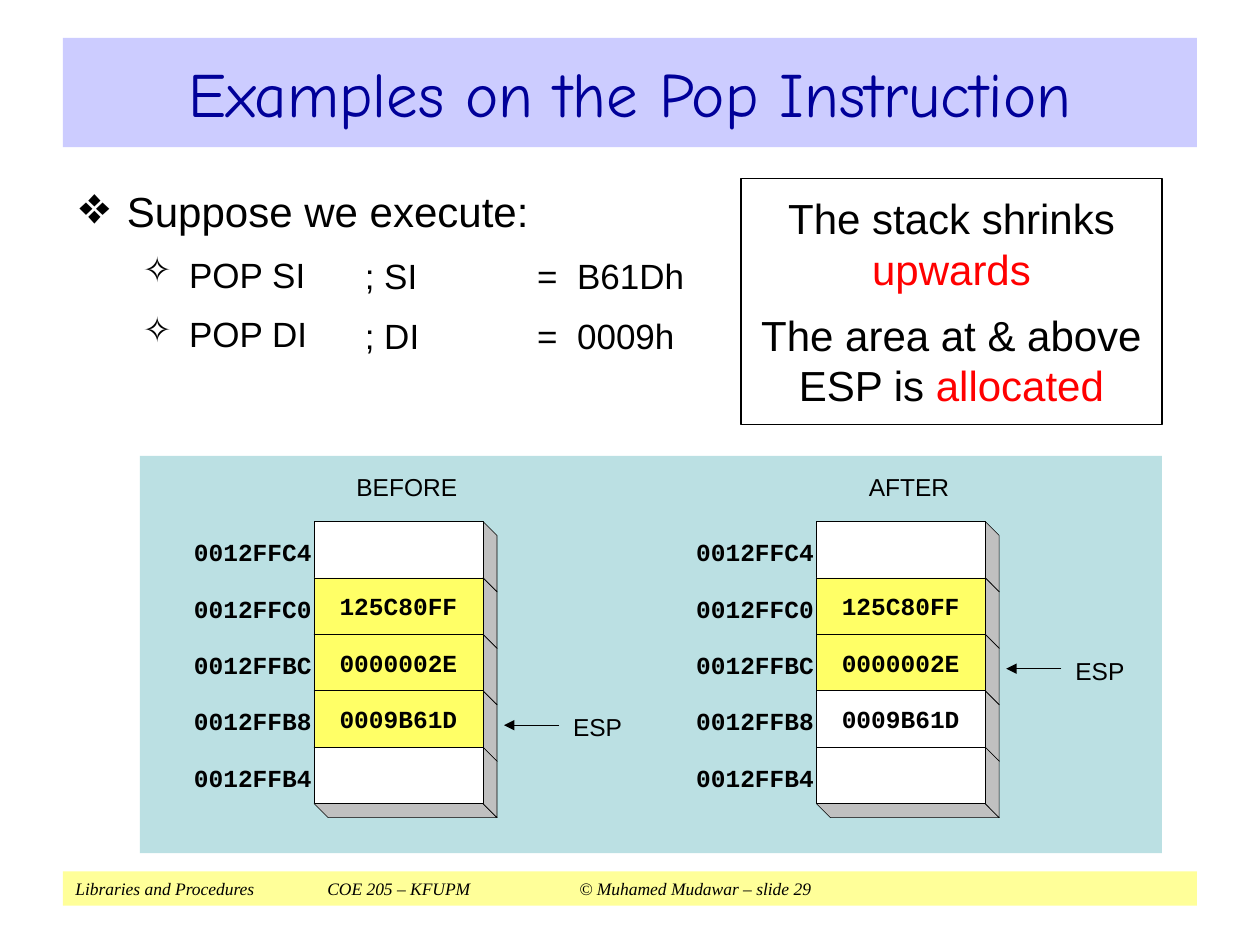
"""Build the slide on the POP instruction with its before and after stacks."""
from lxml.etree import SubElement
from pptx import Presentation
from pptx.dml.color import RGBColor
from pptx.enum.shapes import MSO_CONNECTOR, MSO_SHAPE
from pptx.enum.text import MSO_ANCHOR, PP_ALIGN
from pptx.oxml.ns import qn
from pptx.util import Pt

BLACK = RGBColor(0x00, 0x00, 0x00)
WHITE = RGBColor(0xFF, 0xFF, 0xFF)
RED = RGBColor(0xFF, 0x00, 0x00)
NAVY = RGBColor(0x00, 0x00, 0x99)
LAVENDER = RGBColor(0xCC, 0xCC, 0xFF)
PALE_YELLOW = RGBColor(0xFF, 0xFF, 0x99)
YELLOW = RGBColor(0xFF, 0xFF, 0x66)
TEAL = RGBColor(0xBB, 0xE0, 0xE3)
GRAY = RGBColor(0xC0, 0xC0, 0xC0)

ADDRESSES = ["0012FFC4", "0012FFC0", "0012FFBC", "0012FFB8", "0012FFB4"]
VALUES = ["", "125C80FF", "0000002E", "0009B61D", ""]
STACK_TOP, CELL_WIDTH, CELL_HEIGHT, DEPTH = 298, 96.5, 32.25, 8


class SlideBuilder:
    """Hold the style and the current slide, and draw each kind of element."""

    body_font = "Arial"
    code_font = "Courier New"
    thin_line = 0.37
    line_width = 0.75

    def __init__(self, slide):
        self.slide = slide

    def paint(self, shape, fill, line_width):
        shape.shadow.inherit = False
        if fill is None:
            shape.fill.background()
        else:
            shape.fill.solid()
            shape.fill.fore_color.rgb = fill
        if line_width:
            shape.line.color.rgb = BLACK
            shape.line.width = Pt(line_width)
        else:
            shape.line.fill.background()

    def rectangle(self, left, top, width, height, fill=None, line_width=0):
        shape = self.slide.shapes.add_shape(
            MSO_SHAPE.RECTANGLE, Pt(left), Pt(top), Pt(width), Pt(height))
        self.paint(shape, fill, line_width)
        self.frame(shape, 7.2, 3.6, MSO_ANCHOR.MIDDLE)
        return shape

    def text_box(self, left, top, width, height, wrap=True):
        shape = self.slide.shapes.add_textbox(Pt(left), Pt(top), Pt(width), Pt(height))
        self.frame(shape, 0, 0, MSO_ANCHOR.TOP, wrap)
        return shape

    def frame(self, shape, side, edge, anchor, wrap=True):
        frame = shape.text_frame
        frame.word_wrap = wrap
        frame.vertical_anchor = anchor
        frame.margin_left = frame.margin_right = Pt(side)
        frame.margin_top = frame.margin_bottom = Pt(edge)

    def paragraph(self, shape, runs, size, font=None, color=BLACK, align=PP_ALIGN.LEFT,
                  before=0, bold=False, italic=False, bullet=None, bullet_percent=100,
                  margin=0, hanging=0, tabs=()):
        frame = shape.text_frame
        first = not frame.paragraphs[0].runs
        paragraph = frame.paragraphs[0] if first else frame.add_paragraph()
        paragraph.alignment = align
        if not first:
            paragraph.space_before = Pt(before)
        properties = paragraph._p.get_or_add_pPr()
        if bullet:
            properties.set("marL", str(Pt(margin)))
            properties.set("indent", str(Pt(-hanging)))
            SubElement(properties, qn("a:buSzPct"), val=str(bullet_percent * 1000))
            SubElement(properties, qn("a:buChar"), char=bullet)
        if tabs:
            tab_list = SubElement(properties, qn("a:tabLst"))
            for position in tabs:
                SubElement(tab_list, qn("a:tab"), pos=str(Pt(position)), algn="l")
        paragraph.font.name = font or self.body_font
        paragraph.font.size = Pt(size)
        paragraph.font.bold = bold
        paragraph.font.italic = italic
        paragraph.font.color.rgb = color
        for text, run_color in runs:
            run = paragraph.add_run()
            run.text = text
            if run_color:
                run.font.color.rgb = run_color

    def label(self, text, left, top, width, font=None, bold=False):
        shape = self.text_box(left, top, width, 16.5, wrap=False)
        self.paragraph(shape, [(text, None)], 14, font, align=PP_ALIGN.CENTER, bold=bold)

    def face(self, points):
        (start_x, start_y), *others = points
        builder = self.slide.shapes.build_freeform(Pt(start_x), Pt(start_y))
        builder.add_line_segments([(Pt(x), Pt(y)) for x, y in others])
        self.paint(builder.convert_to_shape(), GRAY, self.thin_line)

    def arrow(self, start_x, end_x, y):
        connector = self.slide.shapes.add_connector(
            MSO_CONNECTOR.STRAIGHT, Pt(start_x), Pt(y), Pt(end_x), Pt(y))
        connector.line.color.rgb = BLACK
        connector.line.width = Pt(self.line_width)
        SubElement(connector.line._get_or_add_ln(), qn("a:tailEnd"), type="triangle")
        SubElement(connector._element.spPr, qn("a:effectLst"))

    def cell(self, left, top, value, fill):
        right, bottom = left + CELL_WIDTH, top + CELL_HEIGHT
        self.face([(right, bottom), (left, bottom), (left + DEPTH, bottom + DEPTH),
                   (right + DEPTH, bottom + DEPTH)])
        self.face([(right + DEPTH, bottom + DEPTH), (right, bottom), (right, top),
                   (right + DEPTH, top + DEPTH)])
        shape = self.rectangle(left, top, CELL_WIDTH, CELL_HEIGHT, fill, self.thin_line)
        if value:
            self.paragraph(shape, [(value, None)], 14, self.code_font,
                           align=PP_ALIGN.CENTER, bold=True)

    def stack(self, title, left, used_rows, pointer_row):
        self.label(title, left + 24, 270, 58)
        for row, (address, value) in enumerate(zip(ADDRESSES, VALUES)):
            top = STACK_TOP + row * CELL_HEIGHT
            self.cell(left, top, value, YELLOW if row in used_rows else WHITE)
            self.label(address, left - 69, top + 9, 68, self.code_font, bold=True)
        pointer_y = STACK_TOP + (pointer_row + 0.5) * CELL_HEIGHT + 3.5
        self.arrow(left + 140, left + 108.5, pointer_y)
        self.label("ESP", left + 146, pointer_y - 7.5, 32)


def main():
    presentation = Presentation()
    presentation.slide_width, presentation.slide_height = Pt(720), Pt(540)
    slide = presentation.slides.add_slide(presentation.slide_layouts[6])
    builder = SlideBuilder(slide)

    footer = builder.rectangle(36, 498, 648, 19.5, PALE_YELLOW)
    builder.paragraph(
        footer,
        [("Libraries and Procedures\tCOE 205 – KFUPM\t© Muhamed Mudawar – slide 29", None)],
        10, "Times New Roman", italic=True, tabs=(144, 288))

    title = builder.rectangle(36, 21.6, 648, 62.6, LAVENDER)
    builder.paragraph(title, [("Examples on the Pop Instruction", None)], 36,
                      "Comic Neue", NAVY, PP_ALIGN.CENTER)

    body = builder.text_box(45.5, 106, 370, 120)
    builder.paragraph(body, [("Suppose we execute:", None)], 24, bullet="❖",
                      bullet_percent=125, margin=27, hanging=27)
    for instruction in ("POP SI", "POP DI"):
        builder.paragraph(body, [(instruction, None)], 20, before=10, bullet="✧",
                          margin=62.5, hanging=26.5)

    results = builder.text_box(208.5, 145.5, 205, 60)
    for result in ("; SI\t=  B61Dh", "; DI\t=  0009h"):
        builder.paragraph(results, [(result, None)], 20, before=10, tabs=(98.5,))

    remark = builder.rectangle(423.5, 102, 240.5, 140.5, line_width=builder.line_width)
    for text, emphasis in (("The stack shrinks ", "upwards"),
                           ("The area at & above ESP is ", "allocated")):
        builder.paragraph(remark, [(text, None), (emphasis, RED)], 24,
                          align=PP_ALIGN.CENTER, before=9)

    builder.rectangle(80, 260.5, 584, 227, TEAL)
    builder.stack("BEFORE", 179.5, used_rows=(1, 2, 3), pointer_row=3)
    builder.stack("AFTER", 466.5, used_rows=(1, 2), pointer_row=2)
    presentation.save("out.pptx")


if __name__ == "__main__":
    main()
